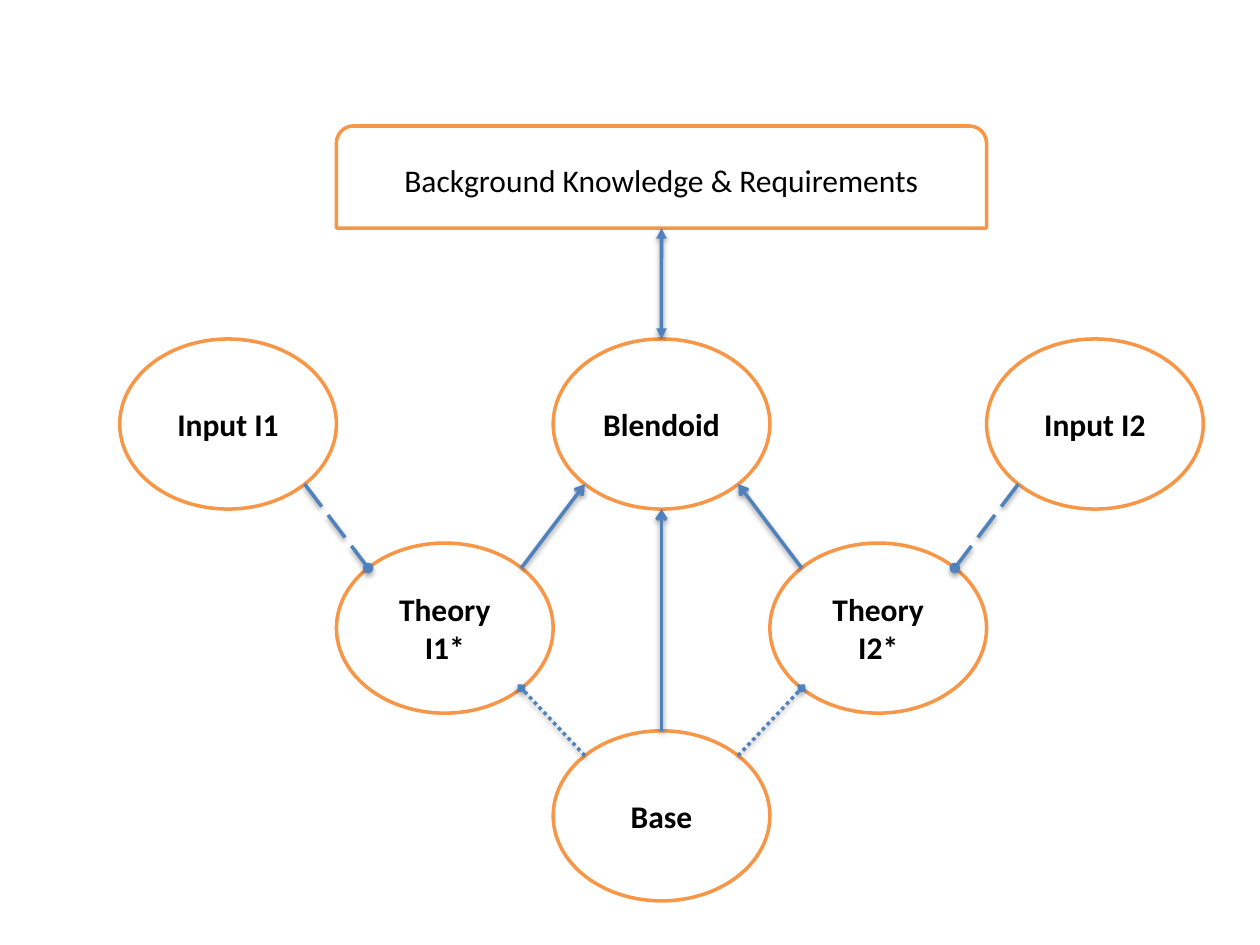
from math import sqrt

from lxml import etree
from pptx import Presentation
from pptx.dml.color import RGBColor
from pptx.enum.dml import MSO_LINE
from pptx.enum.shapes import MSO_CONNECTOR, MSO_SHAPE
from pptx.enum.text import MSO_ANCHOR, PP_ALIGN
from pptx.oxml import parse_xml
from pptx.oxml.ns import qn
from pptx.util import Inches, Pt

ELLIPSE = MSO_SHAPE.OVAL
ROUNDED_TOP = MSO_SHAPE.ROUND_2_SAME_RECTANGLE
STRAIGHT = MSO_CONNECTOR.STRAIGHT
MIDDLE = MSO_ANCHOR.MIDDLE
CENTER = PP_ALIGN.CENTER
DOTTED = MSO_LINE.ROUND_DOT
LONG_DASH = MSO_LINE.LONG_DASH

WHITE = RGBColor(0xFF, 0xFF, 0xFF)
BLACK = RGBColor(0x00, 0x00, 0x00)
ORANGE = RGBColor(0xF7, 0x96, 0x46)
BLUE = RGBColor(0x4F, 0x81, 0xBD)

# Columns are one ellipse width apart
LEFT, WIDTH, HEIGHT = 0.95, 1.72, 1.35
INPUT_ROW, THEORY_ROW, BASE_ROW = 2.69, 4.31, 5.8

# Attachment points as directions from the centre of a shape
DIAGONAL = 1 / sqrt(2)
SITES = {
    "top": (0, -1),
    "bottom": (0, 1),
    "top left": (-DIAGONAL, -DIAGONAL),
    "top right": (DIAGONAL, -DIAGONAL),
    "bottom left": (-DIAGONAL, DIAGONAL),
    "bottom right": (DIAGONAL, DIAGONAL),
}

SHADOW = (
    '<a:effectLst xmlns:a="http://schemas.openxmlformats.org/drawingml/2006/main">'
    '<a:outerShdw blurRad="40000" dist="20000" dir="5400000" rotWithShape="0">'
    '<a:srgbClr val="000000"><a:alpha val="38000"/></a:srgbClr>'
    "</a:outerShdw></a:effectLst>"
)


def site_point(shape, site):
    across, down = SITES[site]
    return (
        int(shape.left + shape.width * (1 + across) / 2),
        int(shape.top + shape.height * (1 + down) / 2),
    )


class Diagram:
    font_format = {"name": "Calibri", "size": Pt(18)}
    line_width = Pt(2)

    def __init__(self, slide):
        self.slide = slide

    def box(self, kind, left, top, width, height, text, bold=False):
        shape = self.slide.shapes.add_shape(
            kind, Inches(left), Inches(top), Inches(width), Inches(height)
        )
        shape.shadow.inherit = False
        shape.fill.solid()
        shape.fill.fore_color.rgb = WHITE
        shape.line.color.rgb = ORANGE
        shape.line.width = self.line_width
        frame = shape.text_frame
        frame.word_wrap = True
        frame.vertical_anchor = MIDDLE
        frame.text = text
        for paragraph in frame.paragraphs:
            paragraph.alignment = CENTER
            font = paragraph.runs[0].font
            for name, value in self.font_format.items():
                setattr(font, name, value)
            font.bold = bold
            font.color.rgb = BLACK
        return shape

    def ellipse(self, column, top, text):
        return self.box(
            ELLIPSE, LEFT + column * WIDTH, top, WIDTH, HEIGHT, text, bold=True
        )

    def link(self, start, start_site, end, end_site, tail, head=None, dash=None):
        connector = self.slide.shapes.add_connector(
            STRAIGHT, *site_point(start, start_site), *site_point(end, end_site)
        )
        if start_site == "top":
            connector.begin_connect(start, 0)
        line = connector.line
        line.color.rgb = BLUE
        line.width = self.line_width
        if dash:
            line.dash_style = dash
        outline = line._get_or_add_ln()
        for tag, arrowhead in (("a:headEnd", head), ("a:tailEnd", tail)):
            if arrowhead:
                etree.SubElement(outline, qn(tag), type=arrowhead)
        connector._element.spPr.append(parse_xml(SHADOW))
        return connector


def main():
    presentation = Presentation()
    presentation.slide_width = Inches(10)
    presentation.slide_height = Inches(7.5)
    slide = presentation.slides.add_slide(presentation.slide_layouts[6])
    diagram = Diagram(slide)

    # Theories and inputs
    input_1 = diagram.ellipse(0, INPUT_ROW, "Input I1")
    blendoid = diagram.ellipse(2, INPUT_ROW, "Blendoid")
    input_2 = diagram.ellipse(4, INPUT_ROW, "Input I2")
    theory_1 = diagram.ellipse(1, THEORY_ROW, "Theory\nI1*")
    theory_2 = diagram.ellipse(3, THEORY_ROW, "Theory I2*")
    base = diagram.ellipse(2, BASE_ROW, "Base")

    # Mirrored links on the left and right halves
    for source, theory, outer, inner in (
        (input_1, theory_1, "left", "right"),
        (input_2, theory_2, "right", "left"),
    ):
        diagram.link(base, f"top {outer}", theory, f"bottom {inner}", "diamond", dash=DOTTED)
        diagram.link(theory, f"top {inner}", blendoid, f"bottom {outer}", "arrow")
        diagram.link(source, f"bottom {inner}", theory, f"top {outer}", "oval", dash=LONG_DASH)

    # Central axis with the background knowledge
    diagram.link(base, "top", blendoid, "bottom", "arrow")
    background = diagram.box(
        ROUNDED_TOP, LEFT + WIDTH, 1, 3 * WIDTH, 0.81, "Background Knowledge & Requirements"
    )
    diagram.link(blendoid, "top", background, "bottom", "triangle", head="triangle")

    presentation.save("out.pptx")


if __name__ == "__main__":
    main()
